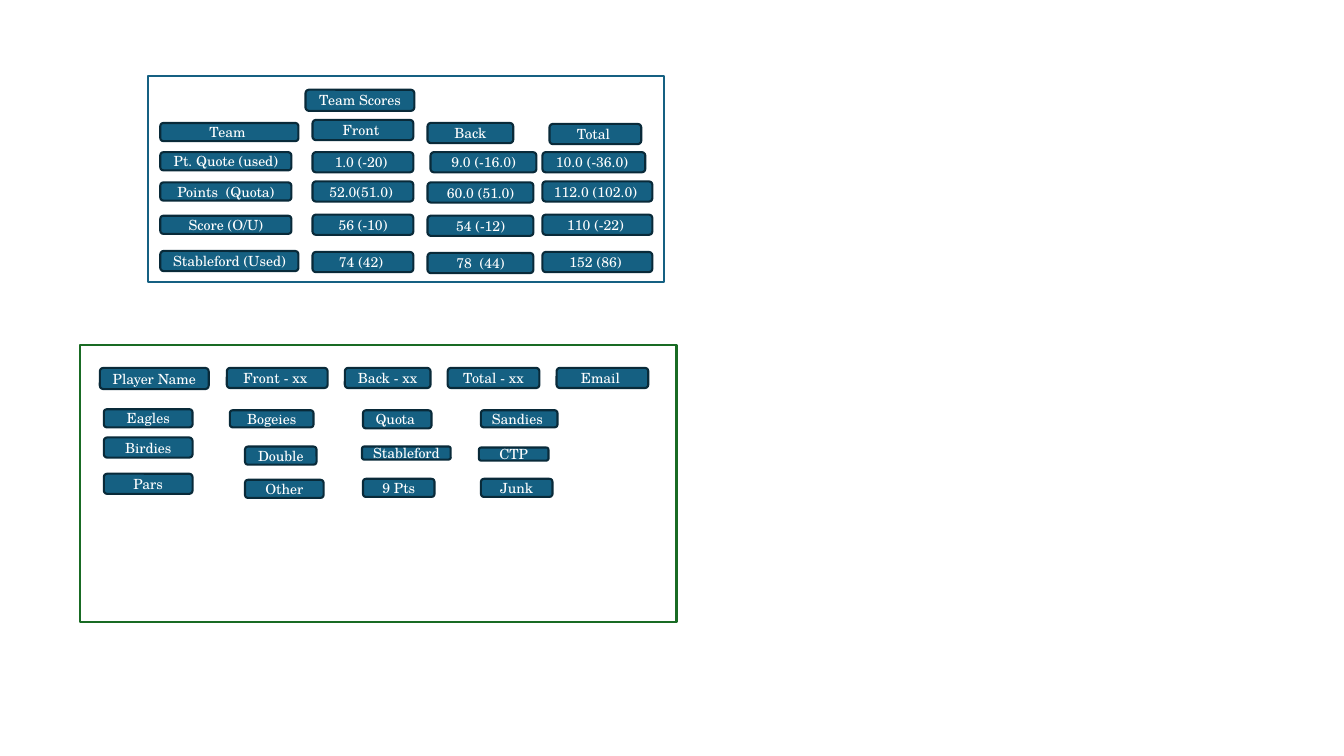
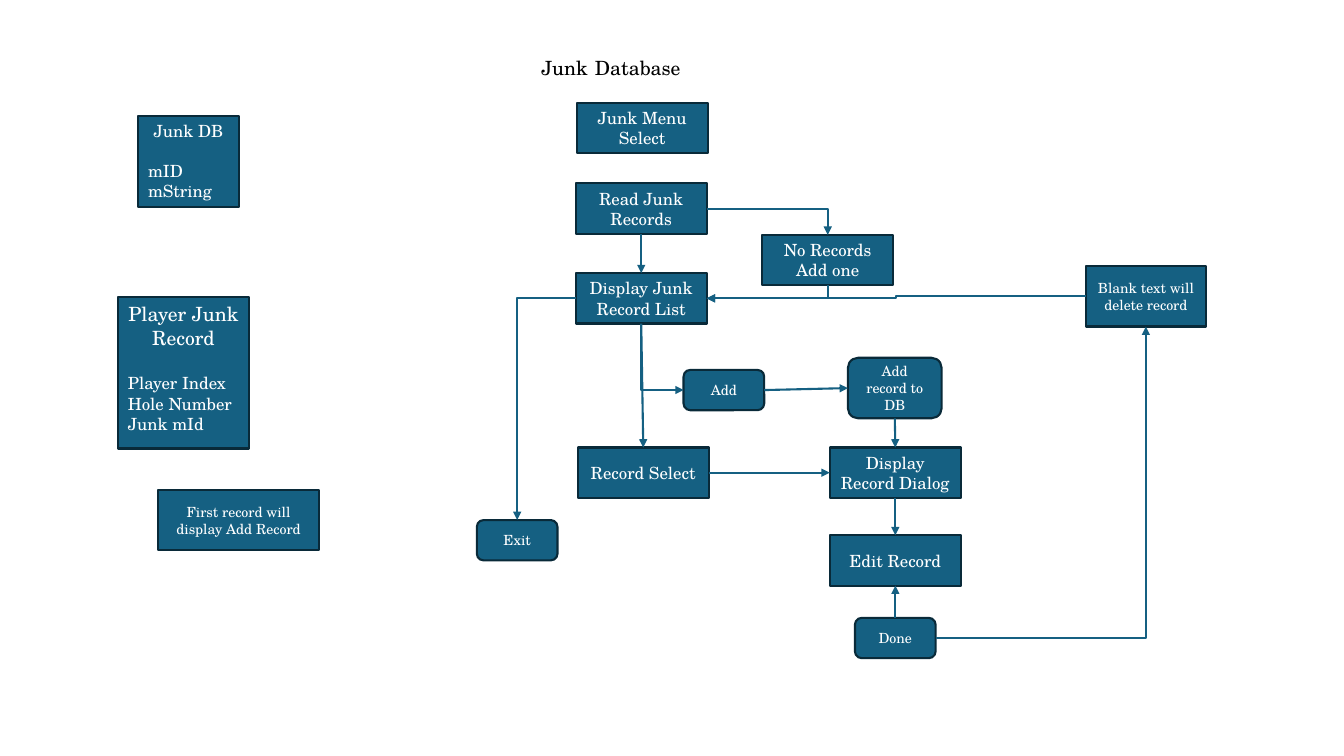
from lxml import etree
from pptx import Presentation
from pptx import util as u
from pptx.dml.color import RGBColor
from pptx.enum import shapes, text
from pptx.oxml import ns

PX = 9144  # 100 px to the inch
FONT = "TeX Gyre Schola"
BLUE, NAVY, GREEN, WHITE, BLACK = "156082", "092A39", "196B24", "FFFFFF", "000000"
RECT = shapes.MSO_SHAPE.RECTANGLE
ROUND = shapes.MSO_SHAPE.ROUNDED_RECTANGLE
STRAIGHT = shapes.MSO_CONNECTOR.STRAIGHT
ELBOW = shapes.MSO_CONNECTOR.ELBOW
TOP, LEFT, BOTTOM, RIGHT = range(4)


def px(*lengths):
    return [u.Emu(length * PX) for length in lengths]


def color(value):
    return RGBColor.from_string(value)


def style_line(line, value):
    line.color.rgb = color(value)
    line.width = u.Pt(1.5)


def style_span(span, size, value=WHITE):
    span.font.name = FONT
    span.font.size = u.Pt(size)
    span.font.color.rgb = color(value)


def add_box(page, kind, box, fill, line):
    shape = page.shapes.add_shape(kind, *px(*box))
    shape.shadow.inherit = False
    shape.fill.solid()
    shape.fill.fore_color.rgb = color(fill)
    style_line(shape.line, line)
    return shape


def add_label(page, kind, box, words, size):
    """Blue box with centred white text; a line break starts a paragraph."""
    shape = add_box(page, kind, box, BLUE, NAVY)
    frame = shape.text_frame
    frame.text = words
    frame.vertical_anchor = text.MSO_ANCHOR.MIDDLE
    for para in frame.paragraphs:
        para.alignment = text.PP_ALIGN.CENTER
        for span in para.runs:
            style_span(span, size)
    return shape


def add_panel(page, box, line, chips):
    """Framed panel; each chip is placed from the panel's top left corner."""
    add_box(page, RECT, box, WHITE, line)
    for words, left, top, width, height in chips:
        add_label(page, ROUND, (box[0] + left, box[1] + top, width, height), words, 10)


def add_team_scores(page, box):
    chips = [
        ("Team Scores", 156, 14, 108, 21),
        ("Team ", 12, 47, 137, 18),
        ("Front ", 163, 44, 100, 20),
        ("Back", 277, 47, 85, 20),
        ("Total ", 398, 48, 91, 20),
        ("Pt. Quote (used)", 12, 76, 130, 18),
        ("1.0 (-20) ", 163, 76, 100, 20),
        ("9.0 (-16.0)", 280, 76, 105, 20),
        ("10.0 (-36.0) ", 391, 76, 102, 20),
        ("Points  (Quota)", 12, 106, 130, 18),
        ("Score (O/U)", 12, 139, 130, 18),
        ("Stableford (Used)", 12, 174, 137, 20),
    ]
    columns = ((163, 0, 100), (277, 1, 105), (391, 0, 109))
    rows = (
        (105, ("52.0(51.0) ", "60.0 (51.0)", "112.0 (102.0) ")),
        (138, ("56 (-10)", "54 (-12)", "110 (-22) ")),
        (175, ("74 (42) ", "78  (44)", "152 (86) ")),
    )
    for top, scores in rows:
        for score, (left, drop, width) in zip(scores, columns):
            chips.append((score, left, top + drop, width, 20))
    add_panel(page, box, BLUE, chips)


def add_player_card(page, box):
    add_panel(page, box, GREEN, (
        ("Player Name", 20, 23, 108, 21),
        ("Front - xx ", 146, 23, 100, 20),
        ("Back - xx", 263, 23, 85, 20),
        ("Total - xx", 365, 23, 91, 20),
        ("Email ", 473, 23, 91, 20),
        ("Eagles", 24, 64, 88, 18),
        ("Birdies", 24, 92, 88, 20),
        ("Pars", 24, 128, 88, 20),
        ("Bogeies", 149, 65, 83, 17),
        ("Double", 164, 101, 71, 18),
        ("Other", 164, 134, 78, 18),
        ("Quota ", 281, 65, 68, 18),
        ("Stableford", 280, 101, 88, 13),
        ("9 Pts", 281, 133, 71, 18),
        ("Sandies ", 398, 65, 76, 17),
        ("CTP", 396, 102, 69, 13),
        ("Junk", 398, 133, 71, 18),
    ))


def add_title(page, box):
    frame = page.shapes.add_textbox(*px(*box)).text_frame
    frame.word_wrap = False
    frame.auto_size = text.MSO_AUTO_SIZE.SHAPE_TO_FIT_TEXT
    for words, size in (("Junk", 14), (" ", 18), ("Database", 14)):
        span = frame.paragraphs[0].add_run()
        span.text = words
        style_span(span, size, BLACK)


def add_record(page, box, name, size, fields):
    """Record name, then its fields one line lower at the left."""
    shape = add_label(page, RECT, box, "\n".join((name, *fields)), 12)
    frame = shape.text_frame
    frame.vertical_anchor = text.MSO_ANCHOR.TOP
    heading, *lines = frame.paragraphs
    heading.runs[0].font.size = u.Pt(size)
    lines[0].space_before = u.Pt(round(size * 1.2))
    for para in lines:
        para.alignment = text.PP_ALIGN.LEFT


def turn_corner(connector, start_side):
    """Give an elbow a single corner, going down first from a bottom side."""
    properties = connector.element.spPr
    properties.find(ns.qn("a:prstGeom")).set("prst", "bentConnector2")
    if start_side != BOTTOM:
        return
    goes_right = connector.end_x > connector.begin_x
    left, top = connector.left, connector.top
    width, height = connector.width, connector.height
    connector.left = u.Emu(left + (width - height) // 2)
    connector.top = u.Emu(top + (height - width) // 2)
    connector.width, connector.height = height, width
    frame = properties.find(ns.qn("a:xfrm"))
    frame.set("rot", str((270 if goes_right else 90) * 60000))
    frame.set("flipH", "1" if goes_right else "0")
    frame.set("flipV", "0")


def add_arrow(page, start, start_side, end, end_side, kind=STRAIGHT, corner=False):
    connector = page.shapes.add_connector(kind, 0, 0, 0, 0)
    connector.begin_connect(start, start_side)
    connector.end_connect(end, end_side)
    if corner:
        turn_corner(connector, start_side)
    style_line(connector.line, BLUE)
    properties = connector.element.spPr
    line = properties.find(ns.qn("a:ln"))
    etree.SubElement(line, ns.qn("a:tailEnd")).set("type", "triangle")
    etree.SubElement(properties, ns.qn("a:effectLst"))


def add_flow(page, left, top):
    def step(words, x, y):
        return add_label(page, RECT, (left + x, top + y, 130, 50), words, 12)

    def action(words, x, y, width=80, height=40, kind=ROUND):
        return add_label(page, kind, (left + x, top + y, width, height), words, 10)

    step("Junk Menu Select", 99, 0)
    read = step("Read Junk Records", 98, 80)
    listing = step("Display Junk Record List", 98, 169)
    select = step("Record Select", 100, 342)
    no_records = step("No Records\nAdd one", 283, 131)
    dialog = step("Display\nRecord Dialog", 350, 342)
    edit = step("Edit Record", 350, 429)
    done = action("Done", 375, 511)
    leave = action("Exit", 0, 414)
    add = action("Add", 205, 265)
    add_record_step = action("Add record to DB", 368, 253, 93, 60)
    blank_text = action("Blank text will delete record", 604, 162, 119, 60, RECT)

    for ends in (
        (read, BOTTOM, listing, TOP),
        (listing, BOTTOM, select, TOP),
        (select, RIGHT, dialog, LEFT),
        (add, RIGHT, add_record_step, LEFT),
        (add_record_step, BOTTOM, dialog, TOP),
        (dialog, BOTTOM, edit, TOP),
        (done, TOP, edit, BOTTOM),
    ):
        add_arrow(page, *ends)
    for ends in (
        (read, RIGHT, no_records, TOP),
        (no_records, BOTTOM, listing, RIGHT),
        (listing, LEFT, leave, TOP),
        (listing, BOTTOM, add, LEFT),
        (done, RIGHT, blank_text, BOTTOM),
    ):
        add_arrow(page, *ends, kind=ELBOW, corner=True)
    add_arrow(page, blank_text, LEFT, listing, RIGHT, kind=ELBOW)


def build_scores(page):
    add_team_scores(page, (147, 75, 512, 205))
    add_player_card(page, (79, 342, 592, 275))


def build_database(page):
    add_title(page, (527, 45, 159, 40))
    add_record(page, (137, 115, 100, 90), "Junk DB", 12, ("mID", "mString"))
    add_record(page, (117, 295, 130, 150), "Player Junk Record", 14,
               ("Player Index", "Hole Number", "Junk mId"))
    add_label(page, RECT, (157, 486, 159, 60), "First record will display Add Record", 10)
    add_flow(page, 473, 102)


def main():
    deck = Presentation()
    deck.slide_width, deck.slide_height = px(1333, 750)
    for build in (build_scores, build_database):
        build(deck.slides.add_slide(deck.slide_layouts[6]))
    deck.save("out.pptx")


if __name__ == "__main__":
    main()
